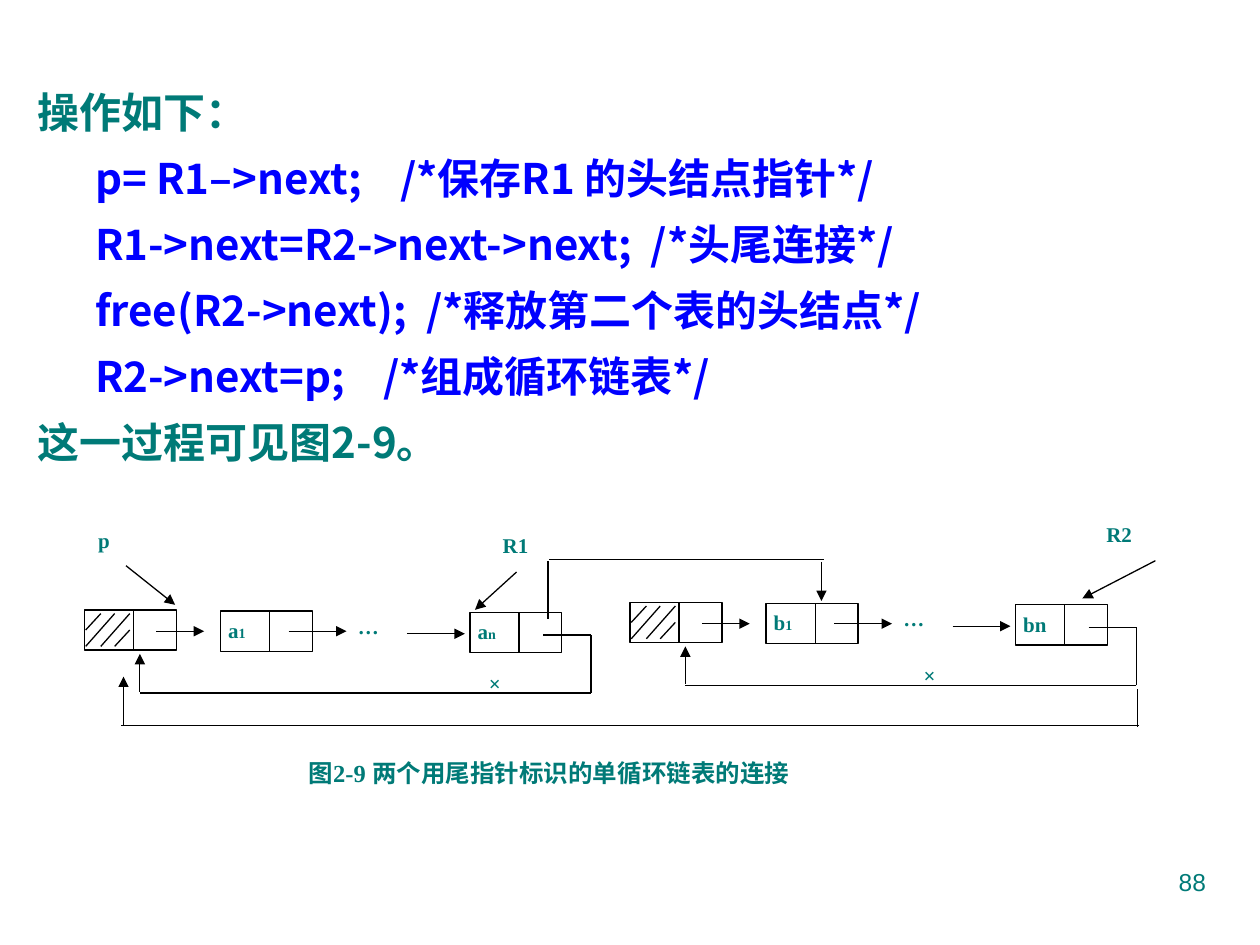
from dataclasses import dataclass

import pptx
import pptx.util
import pptx.dml.color
import pptx.enum.shapes
import pptx.enum.text
import pptx.oxml.ns
from lxml import etree
from pptx.util import Inches

HUES = {"teal": "007A77", "blue": "0000FF", "black": "000000"}
SANS, SERIF = "Noto Sans CJK SC", "Times New Roman"
ALIGN = pptx.enum.text.PP_ALIGN
qn = pptx.oxml.ns.qn


@dataclass
class Node:
    dx: float
    dy: float
    name: str = ""
    sub: str = ""


@dataclass
class Chain:
    left: float
    top: float
    nodes: list[Node]
    cross: float  # offset of the cross on the cut link


def rgb(hue: str) -> pptx.dml.color.RGBColor:
    return pptx.dml.color.RGBColor.from_string(HUES[hue])


def add_run(para, text: str, size: float, font: str, hue: str = "teal",
            bold: bool = True) -> None:
    run = para.add_run()
    run.text = text
    run.font.size = pptx.util.Pt(size)
    run.font.name = font
    run.font.bold = bold
    run.font.color.rgb = rgb(hue)
    etree.SubElement(run.font._element, qn("a:ea"), typeface=SANS)


def add_label(slide, x: float, y: float, w: float, h: float,
              text: str, sub: str = "", size: float = 12) -> None:
    frame = slide.shapes.add_textbox(*map(Inches, (x, y, w, h))).text_frame
    frame.word_wrap = True
    frame.margin_left = frame.margin_right = 0
    frame.margin_top = frame.margin_bottom = 0
    para = frame.paragraphs[0]
    para.alignment = ALIGN.JUSTIFY if size == 12 else ALIGN.LEFT
    add_run(para, text, size, SERIF)
    if sub:
        add_run(para, sub, 8, SERIF)


def add_line(slide, x1: float, y1: float, x2: float, y2: float,
             arrow: bool = False) -> None:
    line = slide.shapes.add_connector(
        pptx.enum.shapes.MSO_CONNECTOR.STRAIGHT,
        *map(Inches, (x1, y1, x2, y2)))
    line.line.color.rgb = rgb("black")
    line.line.width = pptx.util.Pt(0.75)
    if arrow:
        etree.SubElement(line.line._get_or_add_ln(), qn("a:tailEnd"),
                         type="triangle")
    etree.SubElement(line._element.spPr, qn("a:effectLst"))


def add_node(slide, x: float, y: float, node: Node) -> None:
    box = slide.shapes.add_shape(pptx.enum.shapes.MSO_SHAPE.RECTANGLE,
                                 *map(Inches, (x, y, 0.73, 0.32)))
    box.shadow.inherit = False
    box.fill.background()
    box.line.color.rgb = rgb("black")
    box.line.width = pptx.util.Pt(0.75)
    add_line(slide, x + 0.39, y, x + 0.39, y + 0.32)
    if node.name:
        add_label(slide, x + 0.06, y + 0.05, 0.28, 0.23, node.name, node.sub)
    else:
        for x1, y1, x2, y2 in HATCH:
            add_line(slide, x + x1, y + y1, x + x2, y + y2)


def add_chain(slide, chain: Chain) -> None:
    x, y = chain.left, chain.top
    for node in chain.nodes:
        add_node(slide, x + node.dx, y + node.dy, node)
    for x1, y1, x2, y2, arrow in LINKS:
        add_line(slide, x + x1, y + y1, x + x2, y + y2, arrow)
    add_label(slide, x + 2.17, y + 0.03, 0.39, 0.3, "…")
    add_label(slide, x + chain.cross, y + 0.48, 0.3, 0.37, "×")


# Offsets from the top left corner of a chain
HATCH = [(0.01, 0.16, 0.13, 0.03), (0.01, 0.29, 0.24, 0.03),
         (0.13, 0.29, 0.36, 0.03), (0.24, 0.29, 0.36, 0.16)]
LINKS = [
    (0.57, 0.17, 0.95, 0.17, True),
    (1.62, 0.17, 2.08, 0.17, True),
    (2.56, 0.19, 3.02, 0.19, True),
    (3.64, 0.2, 4.02, 0.2, False),
    (4.02, 0.2, 4.02, 0.66, False),
    (4.02, 0.66, 0.44, 0.66, False),
    (0.44, 0.65, 0.44, 0.35, True),
]
CHAINS = [
    Chain(0.67, 4.84, [Node(0, 0), Node(1.08, 0.01, "a", "1"),
                       Node(3.06, 0.02, "a", "n")], 3.21),
    Chain(5, 4.78, [Node(0, 0), Node(1.08, 0.01, "b", "1"),
                    Node(3.06, 0.02, "bn")], 2.33),
]
# Pointers and the new links that join the chains
JOINS = [
    (1, 4.49, 1.39, 4.8, True),
    (4.1, 4.54, 3.77, 4.84, True),
    (9.17, 4.45, 8.59, 4.75, True),
    (4.35, 4.91, 4.35, 4.45, False),
    (4.36, 4.44, 6.54, 4.44, False),
    (6.52, 4.46, 6.52, 4.77, True),
    (9.03, 5.47, 9.03, 5.77, False),
    (9.04, 5.76, 0.96, 5.76, False),
    (0.98, 5.76, 0.98, 5.37, True),
]
LABELS = [(0.78, 4.19, 0.33, 0.3, "p"), (3.99, 4.23, 0.23, 0.24, "R1"),
          (8.78, 4.14, 0.39, 0.24, "R2")]
STEPS = [
    ("操作如下：", "teal"),
    ("      p= R1–>next;    /*保存R1 的头结点指针*/", "blue"),
    ("      R1->next=R2->next->next;  /*头尾连接*/", "blue"),
    ("      free(R2->next);  /*释放第二个表的头结点*/", "blue"),
    ("      R2->next=p;    /*组成循环链表*/", "blue"),
    ("这一过程可见图2-9。", "teal"),
]


def add_steps(slide) -> None:
    body = slide.placeholders[1]
    body.left, body.top, body.width, body.height = map(
        Inches, (0.2, 0.6, 9.34, 3.46))
    frame = body.text_frame
    frame.word_wrap = True
    frame.auto_size = pptx.enum.text.MSO_AUTO_SIZE.NONE
    frame.vertical_anchor = pptx.enum.text.MSO_ANCHOR.TOP
    for i, (text, hue) in enumerate(STEPS):
        para = frame.add_paragraph() if i else frame.paragraphs[0]
        props = para._p.get_or_add_pPr()
        props.set("marL", "0")
        props.set("indent", "0")
        etree.SubElement(props, qn("a:buNone"))
        para.line_spacing = 1.1
        para.space_before = pptx.util.Pt(6 if i else 0)
        add_run(para, text, 24, SANS, hue)


def main() -> None:
    deck = pptx.Presentation()
    deck.slide_width, deck.slide_height = Inches(10), Inches(7.5)
    slide = deck.slides.add_slide(deck.slide_layouts[1])
    title = slide.shapes.title._element
    title.getparent().remove(title)

    # Code steps
    add_steps(slide)

    # Linked list figure
    for chain in CHAINS:
        add_chain(slide, chain)
    for join in JOINS:
        add_line(slide, *join)
    for label in LABELS:
        add_label(slide, *label)
    add_label(slide, 2.45, 6.02, 4.26, 0.3,
              "图2-9 两个用尾指针标识的单循环链表的连接", size=14)

    # Page number
    page = slide.shapes.add_textbox(*map(Inches, (7.17, 6.83, 2.5, 0.52)))
    page.text_frame.word_wrap = True
    para = page.text_frame.paragraphs[0]
    para.alignment = ALIGN.RIGHT
    add_run(para, "88", 14, "Arial", bold=False)

    deck.save("out.pptx")


if __name__ == "__main__":
    main()
